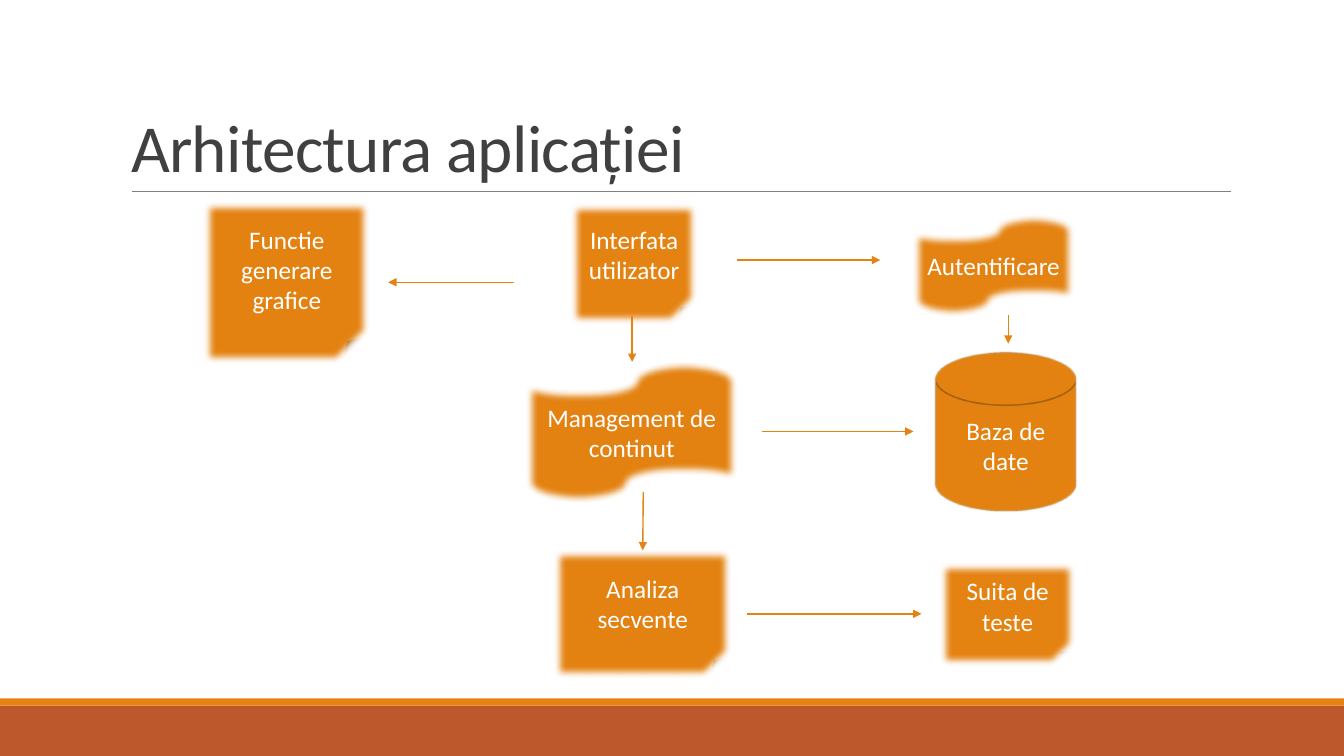
import pptx
import pptx.util
import pptx.dml.color
import pptx.enum.shapes
import pptx.enum.text
import pptx.oxml.ns
import lxml.etree

Inches, Pt = pptx.util.Inches, pptx.util.Pt
SHAPE = pptx.enum.shapes.MSO_SHAPE
ALIGN = pptx.enum.text.PP_ALIGN
ANCHOR = pptx.enum.text.MSO_ANCHOR
qn = pptx.oxml.ns.qn

FONT = "Calibri"
ORANGE, RUST, BROWN = "E48312", "BD582C", "A9610D"
GREY, DARK, WHITE = "808080", "404040", "FFFFFF"

# name: shape, text, box, soft edge in points
NODES = {
    "interface": (SHAPE.FOLDED_CORNER, "Interfata utilizator", (5.67, 2.03, 1.24, 1.18), 5),
    "login": (SHAPE.FLOWCHART_PUNCHED_TAPE, "Autentificare", (9.06, 2.13, 1.59, 1.01), 5),
    "content": (SHAPE.FLOWCHART_PUNCHED_TAPE, "Management de continut", (5.22, 3.59, 2.09, 1.4), 5),
    "analysis": (SHAPE.FOLDED_CORNER, "Analiza secvente", (5.5, 5.46, 1.75, 1.26), 5),
    "tests": (SHAPE.FOLDED_CORNER, "Suita de teste", (9.33, 5.59, 1.33, 1.01), 5),
    "charts": (SHAPE.FOLDED_CORNER, "Functie generare grafice", (2.03, 2.01, 1.63, 1.59), 5),
    "database": (SHAPE.FLOWCHART_MAGNETIC_DISK, "Baza de date", (9.28, 3.5, 1.39, 1.57), 1),
}
# start, end, node whose top the arrow joins
ARROWS = [
    ((7.31, 2.58), (8.73, 2.58), None),
    ((7.56, 4.28), (9.06, 4.28), None),
    ((10, 3.13), (10, 3.41), None),
    ((7.41, 6.09), (9.14, 6.09), None),
    ((5.1, 2.8), (3.85, 2.8), None),
    ((6.38, 4.88), (6.38, 5.46), "analysis"),
    ((6.27, 3.14), (6.27, 3.59), None),
]


def color(value):
    return pptx.dml.color.RGBColor.from_string(value)


def add_shape(s, kind, box, fill, line=None):
    sp = s.shapes.add_shape(kind, *map(Inches, box))
    sp.shadow.inherit = False
    sp.fill.solid()
    sp.fill.fore_color.rgb = color(fill)
    if line:
        sp.line.color.rgb = color(line)
        sp.line.width = Pt(1.25)
    else:
        sp.line.fill.background()
    return sp


def add_line(s, start, end, stroke, width):
    c = s.shapes.add_connector(pptx.enum.shapes.MSO_CONNECTOR.STRAIGHT,
                               *map(Inches, start + end))
    c.line.color.rgb = color(stroke)
    c.line.width = Pt(width)
    lxml.etree.SubElement(c._element.spPr, qn("a:effectLst"))
    return c


def add_frame(s, width, height):
    # Footer bands and the rule under the title
    add_shape(s, SHAPE.RECTANGLE, (0, height - 0.5, width, 0.5), RUST)
    add_shape(s, SHAPE.RECTANGLE, (0, height - 0.57, width, 0.07), ORANGE)
    add_line(s, (1.31, 1.9), (12.21, 1.9), GREY, 0.5)


def add_title(s, text, box):
    sp = s.shapes.title
    sp.left, sp.top, sp.width, sp.height = map(Inches, box)
    tf = sp.text_frame
    tf.text = text
    tf.word_wrap = True
    tf.auto_size = pptx.enum.text.MSO_AUTO_SIZE.NONE
    tf.vertical_anchor = ANCHOR.BOTTOM
    p = tf.paragraphs[0]
    p.alignment = ALIGN.LEFT
    p.line_spacing = 0.85
    p.font.name = FONT
    p.font.size = Pt(48)
    p.font.color.rgb = color(DARK)
    # Slightly tightened letters
    p.runs[0]._r.get_or_add_rPr().set("spc", "-50")


def add_node(s, kind, text, box, softness):
    sp = add_shape(s, kind, box, ORANGE, BROWN)
    effects = sp._element.spPr.find(qn("a:effectLst"))
    lxml.etree.SubElement(effects, qn("a:softEdge"), rad=str(Pt(softness)))
    tf = sp.text_frame
    tf.text = text
    tf.word_wrap = True
    tf.vertical_anchor = ANCHOR.MIDDLE
    p = tf.paragraphs[0]
    p.alignment = ALIGN.CENTER
    p.font.name = FONT
    p.font.size = Pt(18)
    p.font.color.rgb = color(WHITE)
    return sp


def add_diagram(s):
    nodes = {name: add_node(s, *node) for name, node in NODES.items()}
    for start, end, target in ARROWS:
        c = add_line(s, start, end, ORANGE, 1)
        lxml.etree.SubElement(c.line._get_or_add_ln(), qn("a:tailEnd"), type="triangle")
        if target:
            c.end_connect(nodes[target], 0)


def main():
    prs = pptx.Presentation()
    prs.slide_width, prs.slide_height = Inches(13.33), Inches(7.5)
    s = prs.slides.add_slide(prs.slide_layouts[5])
    add_frame(s, 13.33, 7.5)
    add_title(s, "Arhitectura aplicației", (1.2, 0.31, 11, 1.59))
    add_diagram(s)
    prs.save("out.pptx")


if __name__ == "__main__":
    main()
